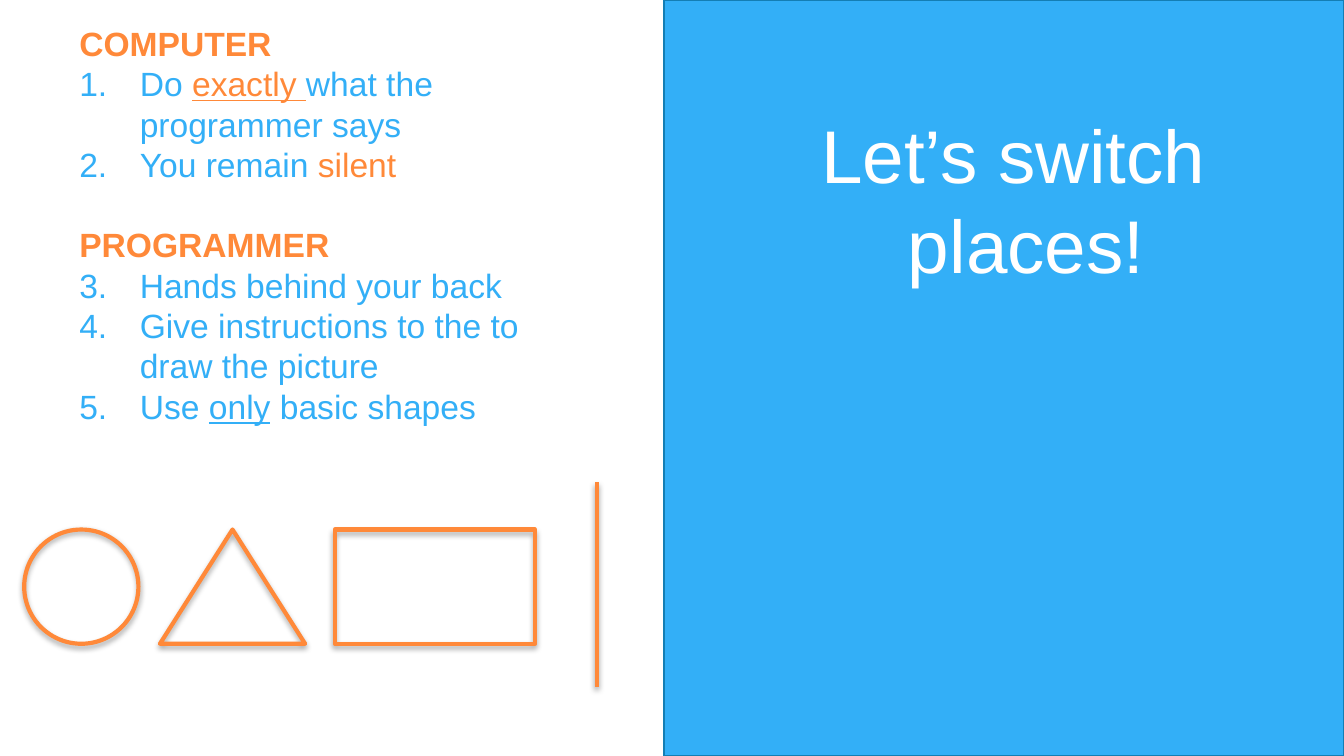
from lxml.etree import SubElement
from pptx import Presentation
from pptx.dml.color import RGBColor
from pptx.enum.shapes import MSO_CONNECTOR, MSO_SHAPE
from pptx.enum.text import MSO_ANCHOR, MSO_AUTO_SIZE, PP_ALIGN
from pptx.oxml.ns import qn
from pptx.util import Inches, Pt

COLORS = {"blue": "33AFF7", "edge": "147EB4", "orange": "FF8939",
          "white": "FFFFFF", "black": "000000"}
FONT = "Arial"
WIDTH = 10
HEIGHT = WIDTH * 9 / 16
PANEL_LEFT = 4.94
TITLE = "Let’s switch places!"
SECTIONS = [
    ("COMPUTER", [
        [("Do ", "blue", False), ("exactly ", "orange", True),
         ("what the programmer says", "blue", False)],
        [("You remain ", "blue", False), ("silent", "orange", False)],
    ]),
    ("PROGRAMMER", [
        [("Hands behind your back", "blue", False)],
        [("Give instructions to the to draw the picture", "blue", False)],
        [("Use ", "blue", False), ("only", "blue", True),
         (" basic shapes", "blue", False)],
    ]),
]
SHAPE_TOP, SHAPE_HEIGHT = 3.94, 0.85
BASIC_SHAPES = [
    (MSO_SHAPE.OVAL, 0.18, 0.85),
    (MSO_SHAPE.ISOSCELES_TRIANGLE, 1.19, 1.08),
    (MSO_SHAPE.RECTANGLE, 2.49, 1.49),
]
LINE_LEFT, LINE_TOP, LINE_BOTTOM = 4.44, 3.59, 5.11


def color(name):
    return RGBColor.from_string(COLORS[name])


def style_span(span, size, name, bold=False, underline=False):
    span.font.name = FONT
    span.font.size = Pt(size)
    span.font.color.rgb = color(name)
    span.font.bold = bold
    span.font.underline = underline


def set_indent(para, left, first):
    properties = para._p.get_or_add_pPr()
    properties.set("marL", str(Inches(left)))
    properties.set("indent", str(Inches(first)))
    return properties


def number(para, start):
    properties = set_indent(para, 0.45, -0.45)
    bullet_color = SubElement(properties, qn("a:buClr"))
    SubElement(bullet_color, qn("a:srgbClr"), val=COLORS["blue"])
    SubElement(properties, qn("a:buFont"), typeface=FONT)
    SubElement(properties, qn("a:buAutoNum"), type="arabicPeriod", startAt=str(start))


def set_frame(frame, side, top):
    frame.word_wrap = True
    frame.auto_size = MSO_AUTO_SIZE.NONE
    frame.vertical_anchor = MSO_ANCHOR.TOP
    frame.margin_left = frame.margin_right = Inches(side)
    frame.margin_top = frame.margin_bottom = Inches(top)


def outline(shape, alpha, distance):
    shape.line.color.rgb = color("orange")
    shape.line.width = Pt(2.25)
    effects = SubElement(shape._element.spPr, qn("a:effectLst"))
    shadow = SubElement(effects, qn("a:outerShdw"), blurRad=str(Pt(3.1)),
                        dist=str(Pt(distance)), dir="5400000", rotWithShape="0")
    shade = SubElement(shadow, qn("a:srgbClr"), val=COLORS["black"])
    SubElement(shade, qn("a:alpha"), val=str(alpha * 1000))


def add_title(slide):
    panel = slide.shapes.add_shape(
        MSO_SHAPE.RECTANGLE, Inches(PANEL_LEFT), 0,
        Inches(WIDTH - PANEL_LEFT), Inches(HEIGHT))
    panel.shadow.inherit = False
    panel.fill.solid()
    panel.fill.fore_color.rgb = color("blue")
    panel.line.color.rgb = color("edge")
    panel.line.width = Pt(0.75)
    slide.shapes._spTree.insert(2, panel._element)

    title = slide.shapes.title
    title.left, title.top = Inches(5.7), Inches(0.72)
    title.width, title.height = Inches(3.54), Inches(4.16)
    set_frame(title.text_frame, 0.09, 0.09)
    title.text_frame.text = TITLE
    para = title.text_frame.paragraphs[0]
    set_indent(para, 0.33, -0.19)
    para.alignment = PP_ALIGN.CENTER
    para.line_spacing = Pt(48)
    para.space_before = Pt(0)
    style_span(para.runs[0], 40, "white")


def add_rules(slide):
    box = slide.shapes.add_textbox(Inches(0.5), Inches(0.13), Inches(3.98), Inches(3.47))
    frame = box.text_frame
    set_frame(frame, 0.09, 0.04)
    start = 1
    for index, (heading, rules) in enumerate(SECTIONS):
        para = frame.add_paragraph() if index else frame.paragraphs[0]
        para.text = heading
        para.space_before = Pt(21.6 if index else 0)
        style_span(para.runs[0], 18, "orange", bold=True)
        for rule in rules:
            para = frame.add_paragraph()
            number(para, start)
            for text, name, underline in rule:
                span = para.add_run()
                span.text = text
                style_span(span, 18, name, underline=underline)
        start += len(rules)
    for para in frame.paragraphs:
        para.line_spacing = Pt(21.6)


def add_basic_shapes(slide):
    for kind, left, width in BASIC_SHAPES:
        shape = slide.shapes.add_shape(kind, Inches(left), Inches(SHAPE_TOP),
                                       Inches(width), Inches(SHAPE_HEIGHT))
        shape.fill.background()
        outline(shape, 35, 1.8)
    line = slide.shapes.add_connector(
        MSO_CONNECTOR.STRAIGHT, Inches(LINE_LEFT), Inches(LINE_BOTTOM),
        Inches(LINE_LEFT), Inches(LINE_TOP))
    outline(line, 38, 1.6)


def main():
    deck = Presentation()
    deck.slide_width, deck.slide_height = Inches(WIDTH), Inches(HEIGHT)
    slide = deck.slides.add_slide(deck.slide_layouts[5])
    add_title(slide)
    add_rules(slide)
    add_basic_shapes(slide)
    deck.save("out.pptx")


if __name__ == "__main__":
    main()
